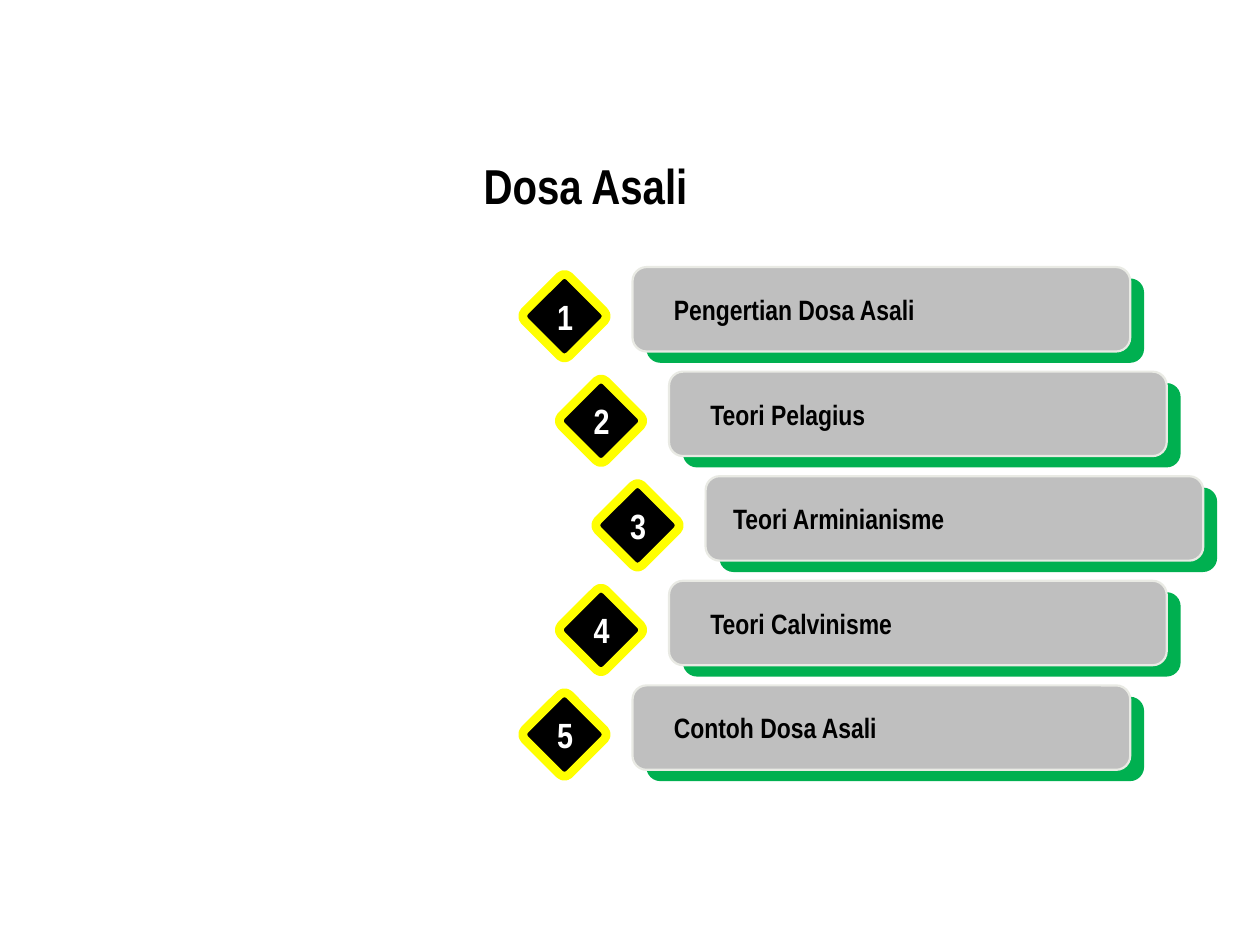
from pptx import Presentation
from pptx.dml.color import RGBColor
from pptx.enum.shapes import MSO_SHAPE
from pptx.enum.text import MSO_ANCHOR, MSO_AUTO_SIZE, PP_ALIGN
from pptx.util import Inches, Pt

COLORS = {
    "text": "000000",
    "number": "FFFFFF",
    "bar": "BFBFBF",
    "bar_edge": "E9EAE4",
    "shade": "00B050",
    "diamond": "000000",
    "diamond_edge": "FFFF00",
}


def add_box(shapes, x, y, w, h, fill, edge=None, width=0):
    sp = shapes.add_shape(MSO_SHAPE.ROUNDED_RECTANGLE, Inches(x), Inches(y), Inches(w), Inches(h))
    sp.shadow.inherit = False
    sp.fill.solid()
    sp.fill.fore_color.rgb = RGBColor.from_string(COLORS[fill])
    if edge:
        sp.line.color.rgb = RGBColor.from_string(COLORS[edge])
        sp.line.width = Pt(width)
    else:
        sp.line.fill.background()
    return sp


def add_text(shapes, x, y, w, h, text, size, color="text", align=PP_ALIGN.LEFT, wrap=True):
    tf = shapes.add_textbox(Inches(x), Inches(y), Inches(w), Inches(h)).text_frame
    tf.word_wrap = wrap
    tf.vertical_anchor = MSO_ANCHOR.MIDDLE
    p = tf.paragraphs[0]
    p.text = text
    p.alignment = align
    p.font.name = "Arial Narrow"
    p.font.size = Pt(size)
    p.font.bold = True
    p.font.color.rgb = RGBColor.from_string(COLORS[color])
    return tf


prs = Presentation()
prs.slide_width, prs.slide_height = Inches(10), Inches(7.5)
s = prs.slides.add_slide(prs.slide_layouts[6])

add_text(s.shapes, 3.74, 1.15, 6.26, 0.63, "Dosa Asali", 28)

topics = [
    ("Pengertian Dosa Asali", 0, 0.23),
    ("Teori Pelagius", 1, 0.23),
    ("Teori Arminianisme", 2, 0.12),
    ("Teori Calvinisme", 1, 0.23),
    ("Contoh Dosa Asali", 0, 0.23),
]

for i, (topic, step, indent) in enumerate(topics):
    x = 5.02 + 0.29 * step
    y = 2.12 + 0.83 * i
    row = s.shapes.add_group_shape().shapes
    add_box(row, x + 0.11, y + 0.09, 3.95, 0.67, "shade")
    add_box(row, x, y, 3.95, 0.67, "bar", "bar_edge", 1.25)
    tf = add_text(row, x + indent, y + 0.15, 3.31, 0.37, topic, 16)
    tf.auto_size = MSO_AUTO_SIZE.SHAPE_TO_FIT_TEXT
    diamond = add_box(row, x - 0.79, y + 0.14, 0.5, 0.5, "diamond", "diamond_edge", 5)
    diamond.adjustments[0] = 0.107
    diamond.rotation = 45
    tf = add_text(row, x - 0.7, y + 0.17, 0.33, 0.44, str(i + 1), 20, "number", PP_ALIGN.CENTER, False)
    tf.auto_size = MSO_AUTO_SIZE.SHAPE_TO_FIT_TEXT

prs.save("out.pptx")
